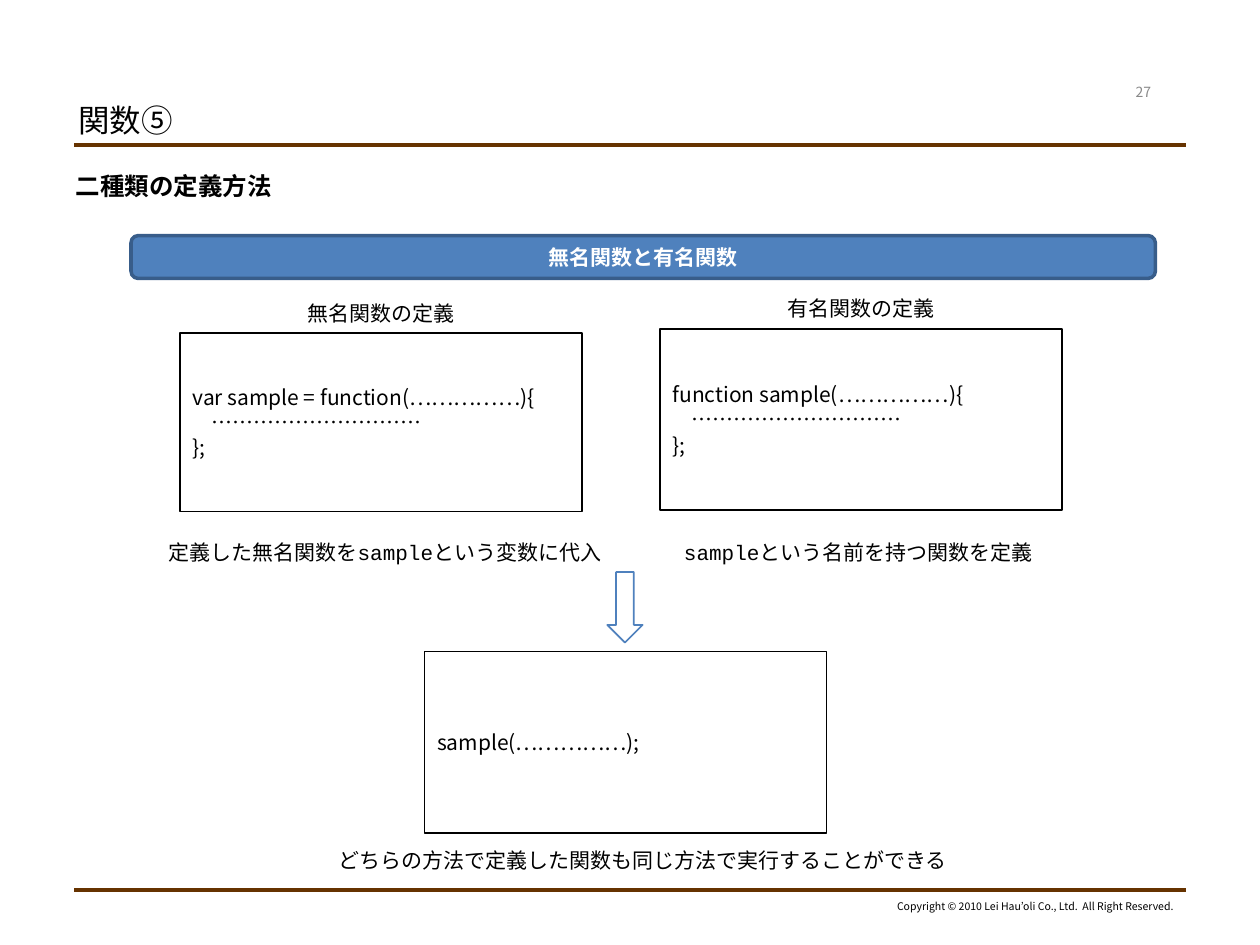
from lxml.etree import SubElement
from pptx import Presentation
from pptx.dml.color import RGBColor
from pptx.enum.shapes import MSO_CONNECTOR, MSO_SHAPE
from pptx.enum.text import MSO_ANCHOR, MSO_AUTO_SIZE, PP_ALIGN
from pptx.oxml.ns import qn
from pptx.util import Inches, Pt

BLACK = RGBColor(0x00, 0x00, 0x00)
WHITE = RGBColor(0xFF, 0xFF, 0xFF)
GRAY = RGBColor(0x89, 0x89, 0x89)
BROWN = RGBColor(0x66, 0x33, 0x00)
BLUE = RGBColor(0x4F, 0x81, 0xBD)
DARK_BLUE = RGBColor(0x38, 0x5D, 0x8A)
SANS = "Noto Sans CJK JP"
MONO = "Courier New"


def write(box, text, size=12, font=SANS, color=BLACK, bold=False,
          align=PP_ALIGN.LEFT, anchor=MSO_ANCHOR.TOP, wrap=True):
    frame = box.text_frame
    frame.text = text
    frame.word_wrap = wrap
    frame.auto_size = MSO_AUTO_SIZE.NONE if wrap else MSO_AUTO_SIZE.SHAPE_TO_FIT_TEXT
    frame.vertical_anchor = anchor
    for para in frame.paragraphs:
        para.alignment = align
        para.space_before = Pt(0)
        for span in para.runs:
            span.font.size = Pt(size)
            span.font.bold = bold
            span.font.color.rgb = color
            span.font.name = font
            SubElement(span.font._element, qn("a:ea")).set("typeface", SANS)


def add_outlined(kind, left, top, width, height, line_color, line_width=1, fill=None):
    shape = page.shapes.add_shape(kind, Inches(left), Inches(top), Inches(width), Inches(height))
    shape.shadow.inherit = False
    shape.line.color.rgb = line_color
    shape.line.width = Pt(line_width)
    if fill is None:
        shape.fill.background()
    else:
        shape.fill.solid()
        shape.fill.fore_color.rgb = fill
    return shape


deck = Presentation()
deck.slide_width, deck.slide_height = Inches(10), Inches(7.5)
page = deck.slides.add_slide(deck.slide_layouts[1])

# Rules above and below the content
for rule_y in (1.15, 7.06):
    rule = page.shapes.add_connector(
        MSO_CONNECTOR.STRAIGHT, Inches(0.59), Inches(rule_y), Inches(9.41), Inches(rule_y))
    rule.line.color.rgb = BROWN
    rule.line.width = Pt(2.25)
    SubElement(rule._element.spPr, qn("a:effectLst"))

# Title and heading
title, body = page.shapes.title, page.placeholders[1]
title.left, title.top, title.width, title.height = map(Inches, (0.52, 0.76, 5.68, 0.39))
body.left, body.top, body.width, body.height = map(Inches, (0.5, 1.31, 9, 5.59))
write(title, "関数⑤", size=18, anchor=MSO_ANCHOR.MIDDLE)
write(body, "二種類の定義方法", size=14, bold=True)
heading = body.text_frame.paragraphs[0]._p.get_or_add_pPr()
heading.set("marL", "0")
heading.set("indent", "0")
SubElement(heading, qn("a:buNone"))

# Banner
banner = add_outlined(MSO_SHAPE.ROUNDED_RECTANGLE, 1.04, 1.87, 8.13, 0.34, DARK_BLUE, 2, BLUE)
write(banner, "無名関数と有名関数", color=WHITE, bold=True,
      align=PP_ALIGN.CENTER, anchor=MSO_ANCHOR.MIDDLE)

# Code boxes: two definitions and the shared call
code_boxes = [
    (1.43, 2.64, 1.42, "var sample = function(……………){\n    …………………………\n};"),
    (5.24, 2.61, 1.44, "function sample(……………){\n    …………………………\n};"),
    (3.37, 5.17, 1.44, "sample(……………);"),
]
for left, top, height, code in code_boxes:
    code_box = add_outlined(MSO_SHAPE.RECTANGLE, left, top, 3.19, height, BLACK)
    write(code_box, code, anchor=MSO_ANCHOR.MIDDLE)

add_outlined(MSO_SHAPE.DOWN_ARROW, 4.82, 4.54, 0.28, 0.56, BLUE)

# Captions
captions = [
    (2.34, 2.34, 1.38, "無名関数の定義"),
    (6.15, 2.3, 1.38, "有名関数の定義"),
    (1.24, 4.23, 3.73, "定義した無名関数をsampleという変数に代入"),
    (5.33, 4.23, 3.02, "sampleという名前を持つ関数を定義"),
    (2.59, 6.68, 5.05, "どちらの方法で定義した関数も同じ方法で実行することができる"),
]
for left, top, width, text in captions:
    caption = page.shapes.add_textbox(Inches(left), Inches(top), Inches(width), Inches(0.3))
    write(caption, text, font=MONO, wrap=False)

# Page number and copyright line
number = page.shapes.add_textbox(Inches(8.78), Inches(0.61), Inches(0.59), Inches(0.24))
write(number, "27", size=8, color=GRAY, align=PP_ALIGN.CENTER, anchor=MSO_ANCHOR.MIDDLE)
footer = page.shapes.add_textbox(Inches(6.99), Inches(7.09), Inches(2.42), Inches(0.2))
write(footer, "Copyright © 2010 Lei Hau’oli Co., Ltd.  All Right Reserved.",
      size=6, align=PP_ALIGN.RIGHT, wrap=False)

deck.save("out.pptx")
